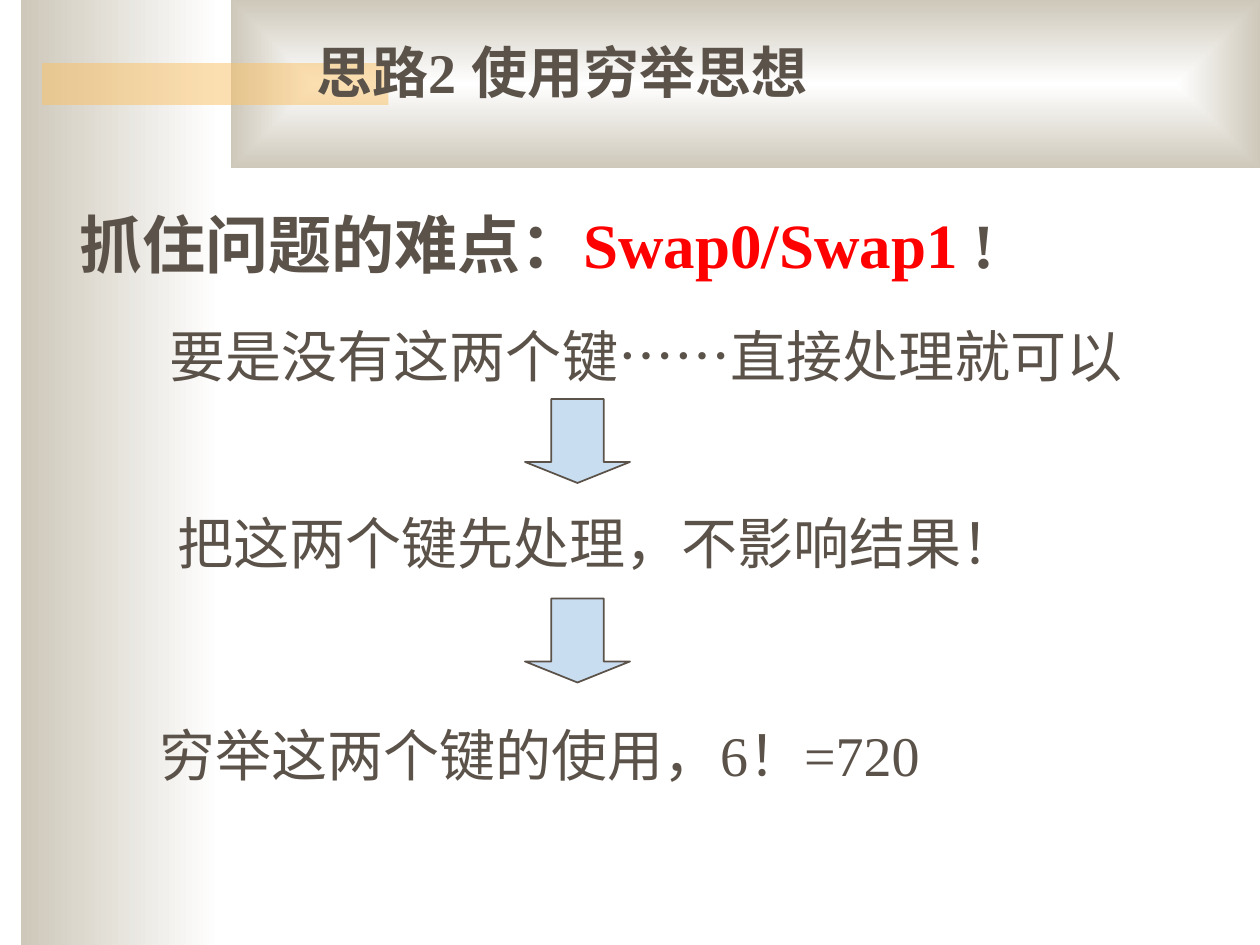
import pptx
import pptx.util
import pptx.dml.color
import pptx.enum.shapes
import pptx.enum.text
import pptx.oxml
import pptx.oxml.ns
from lxml import etree

Pt = pptx.util.Pt
SHAPES = pptx.enum.shapes.MSO_SHAPE
FONT = "Times New Roman"
COLORS = {"text": "5B5249", "key": "FF0000", "arrow": "C9DDF1",
          "light": "FFFFFF", "stone": "CEC8BA", "accent": "FAC164"}

SIDE_BAND = (12, 0, 114, 540)
TITLE_BAND = (132, 0, 588, 96)
ACCENT_BAR = (24, 36, 198, 24)

TEXTS = [
    ((174, 18, 427, 46), 32, True, [("思路2 使用穷举思想", "text")]),
    ((38.2, 114, 565, 50.4), 36, True,
     [("抓住问题的难点：", "text"), ("Swap0/Swap1", "key"), (" !", "text")]),
    ((90, 180, 564, 46), 32, False, [("要是没有这两个键……直接处理就可以", "text")]),
    ((94.3, 287.3, 510, 46), 32, False, [("把这两个键先处理，不影响结果！", "text")]),
    ((84, 408, 490, 46), 32, False, [("穷举这两个键的使用，6！=720", "text")]),
]
ARROW_LEFT, ARROW_SIZE = 300, (60, 48)
ARROW_TOPS = (228, 342)


def rgb(name):
    return pptx.dml.color.RGBColor.from_string(COLORS[name])


def add_shape(slide, kind, frame):
    shape = slide.shapes.add_shape(kind, *map(Pt, frame))
    shape.shadow.inherit = False
    shape.line.fill.background()
    return shape


def add_gradient_band(slide, frame, centred):
    band = add_shape(slide, SHAPES.RECTANGLE, frame)
    band.fill.gradient()
    for stop, name in zip(band.fill.gradient_stops, ("light", "stone")):
        stop.color.rgb = rgb(name)
    if not centred:
        band.fill.gradient_angle = 180
        return
    linear = band._element.spPr.find(".//" + pptx.oxml.ns.qn("a:lin"))
    linear.getparent().replace(linear, pptx.oxml.parse_xml(
        f'<a:path {pptx.oxml.ns.nsdecls("a")} path="rect">'
        '<a:fillToRect l="50000" t="50000" r="50000" b="50000"/></a:path>'))


def add_accent_bar(slide):
    bar = add_shape(slide, SHAPES.RECTANGLE, ACCENT_BAR)
    bar.fill.solid()
    bar.fill.fore_color.rgb = rgb("accent")
    color = bar._element.spPr.find(".//" + pptx.oxml.ns.qn("a:srgbClr"))
    etree.SubElement(color, pptx.oxml.ns.qn("a:alpha"), val="50000")


def add_text(slide, frame, size, bold, parts):
    box = slide.shapes.add_textbox(*map(Pt, frame))
    box.text_frame.word_wrap = True
    box.text_frame.auto_size = pptx.enum.text.MSO_AUTO_SIZE.SHAPE_TO_FIT_TEXT
    para = box.text_frame.paragraphs[0]
    for text, color in parts:
        span = para.add_run()
        span.text = text
        span.font.name = FONT
        span.font.size = Pt(size)
        span.font.bold = bold
        span.font.color.rgb = rgb(color)


def add_arrow(slide, top):
    arrow = add_shape(slide, SHAPES.DOWN_ARROW, (ARROW_LEFT, top, *ARROW_SIZE))
    arrow.adjustments[0] = 0.5
    arrow.adjustments[1] = 0.25
    arrow.fill.solid()
    arrow.fill.fore_color.rgb = rgb("arrow")
    arrow.line.color.rgb = rgb("text")
    arrow.line.width = Pt(1)


def main():
    deck = pptx.Presentation()
    deck.slide_width, deck.slide_height = Pt(720), Pt(540)
    page = deck.slides.add_slide(deck.slide_layouts[6])
    add_gradient_band(page, SIDE_BAND, centred=False)
    add_gradient_band(page, TITLE_BAND, centred=True)
    add_accent_bar(page)
    for text in TEXTS:
        add_text(page, *text)
    for top in ARROW_TOPS:
        add_arrow(page, top)
    deck.save("out.pptx")


if __name__ == "__main__":
    main()
